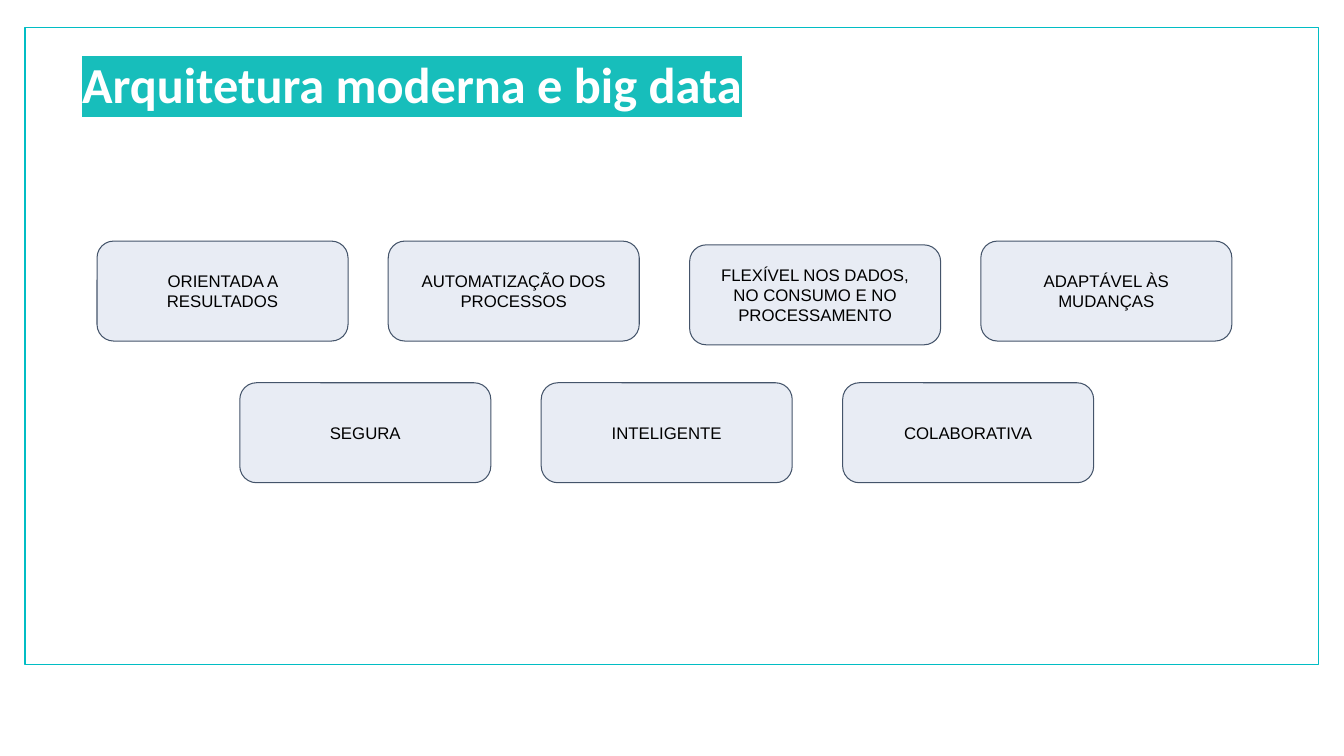
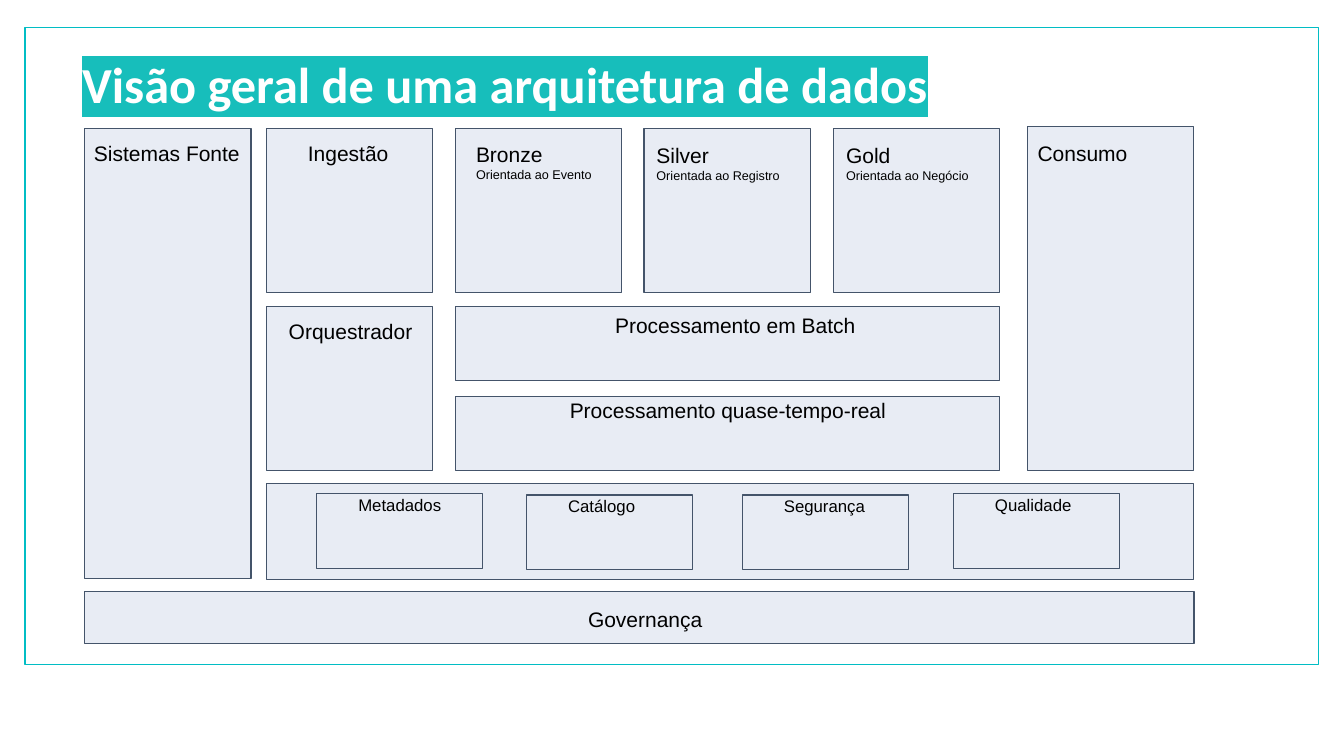
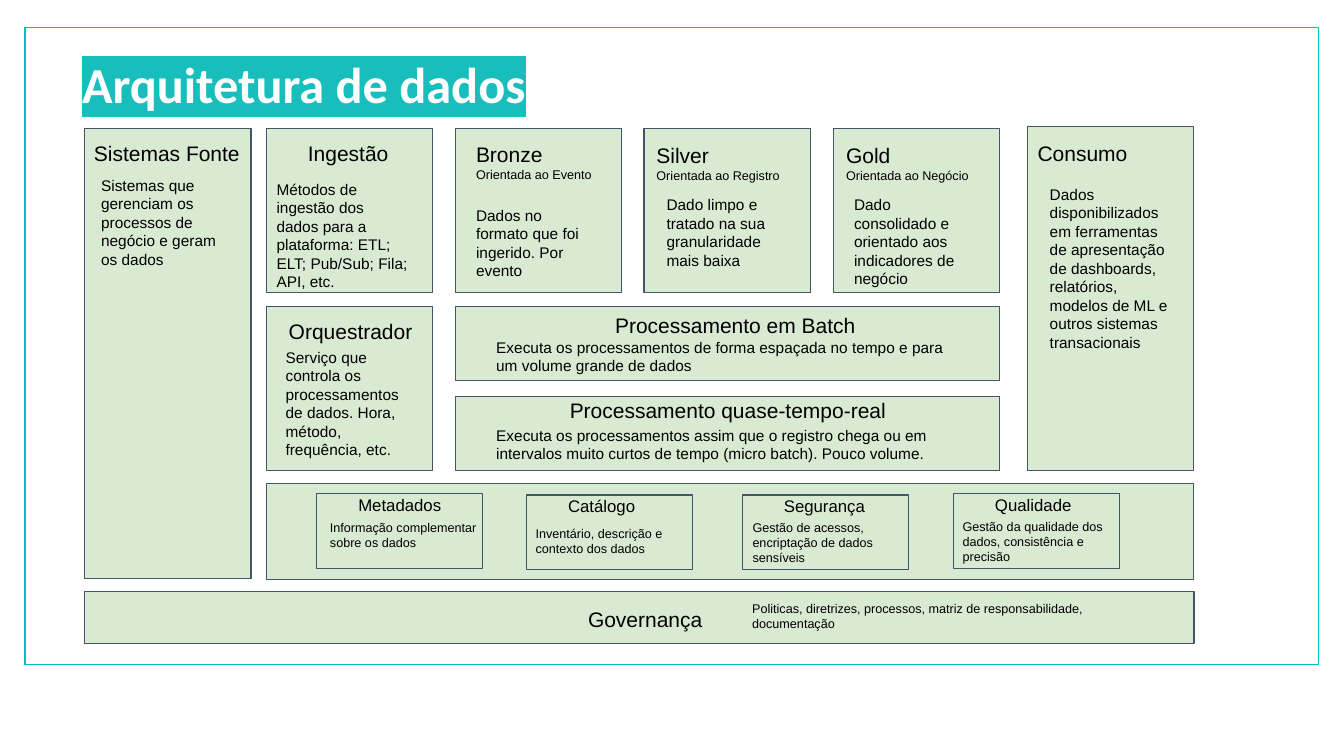
from dataclasses import dataclass

from lxml.etree import SubElement
from pptx import Presentation
from pptx.dml.color import RGBColor
from pptx.enum.shapes import MSO_SHAPE
from pptx.enum.text import MSO_ANCHOR, MSO_AUTO_SIZE, PP_ALIGN
from pptx.oxml.ns import qn
from pptx.util import Pt

TEAL = "17BEBB"
FRAME_LINE = "01BDC4"
OUTLINE = "44546A"
BLUE = "E8ECF4"
GREEN = "D9EAD3"
BLACK = "000000"
WHITE = "FFFFFF"

INSET = 9.6
COLUMNS = (60.4, 190.1, 325.4, 460, 595.4, 733.7)
TOP_ROW, MIDDLE_ROW, FAST_ROW, SUPPORT_ROW, BOTTOM_ROW = 91.6, 218.8, 283, 345.6, 422.6
TILE = 118.9, 117.3
BAND = 388.8, 53.3
SUPPORT = 118.9, 53.3


@dataclass
class Label:
    text: str
    x: float
    y: float
    width: float
    size: float = 11
    lines: int = 1


@dataclass
class Block:
    x: float
    y: float
    width: float
    height: float
    heading: Label = None
    detail: Label = None
    layer: str = ""


def color(value):
    return RGBColor.from_string(value)


def apply(target, formats):
    for name, value in formats.items():
        setattr(target, name, value)


def write(paragraph, text, size, font="Arial", ink=BLACK, bold=False):
    run = paragraph.add_run()
    run.text = text
    apply(run.font, {"name": font, "size": Pt(size), "bold": bold})
    run.font.color.rgb = color(ink)
    return run


def set_margins(frame, side, edge):
    apply(frame, {
        "word_wrap": True,
        "margin_left": Pt(side), "margin_right": Pt(side),
        "margin_top": Pt(edge), "margin_bottom": Pt(edge),
    })


def add_panel(slide, kind, x, y, width, height, fill=None, line=OUTLINE, weight=0.75):
    panel = slide.shapes.add_shape(kind, Pt(x), Pt(y), Pt(width), Pt(height))
    panel.shadow.inherit = False
    if fill:
        panel.fill.solid()
        panel.fill.fore_color.rgb = color(fill)
    else:
        panel.fill.background()
    panel.line.color.rgb = color(line)
    panel.line.width = Pt(weight)
    return panel


def add_text_frame(slide, x, y, width, height, edge=INSET):
    frame = slide.shapes.add_textbox(Pt(x), Pt(y), Pt(width), Pt(height)).text_frame
    set_margins(frame, INSET, edge)
    frame.auto_size = MSO_AUTO_SIZE.SHAPE_TO_FIT_TEXT
    return frame


def start_slide(deck, title):
    slide = deck.slides.add_slide(deck.slide_layouts[6])
    add_panel(slide, MSO_SHAPE.RECTANGLE, 18, 19.5, 923.8, 455, line=FRAME_LINE, weight=1)
    frame = add_text_frame(slide, 49, 33.4, 854, 53.3, edge=4.8)
    run = write(frame.paragraphs[0], title, 36, "Calibri", WHITE, True)
    ink = run.font._element.find(qn("a:solidFill"))
    highlight = ink.makeelement(qn("a:highlight"), {})
    SubElement(highlight, qn("a:srgbClr"), val=TEAL)
    ink.addnext(highlight)
    return slide


def add_card(slide, x, y, text):
    card = add_panel(slide, MSO_SHAPE.ROUNDED_RECTANGLE, x, y, 179.3, 71.4, BLUE)
    frame = card.text_frame
    set_margins(frame, INSET, INSET)
    frame.vertical_anchor = MSO_ANCHOR.MIDDLE
    frame.paragraphs[0].alignment = PP_ALIGN.CENTER
    write(frame.paragraphs[0], text, 12)


def add_qualities(slide, x, y):
    upper = (
        (0, 0, "ORIENTADA A RESULTADOS"),
        (208, 0, "AUTOMATIZAÇÃO DOS PROCESSOS"),
        (423.3, 2.7, "FLEXÍVEL NOS DADOS, NO CONSUMO E NO PROCESSAMENTO"),
        (631.3, 0, "ADAPTÁVEL ÀS MUDANÇAS"),
    )
    for dx, dy, text in upper:
        add_card(slide, x + dx, y + dy, text)
    for index, text in enumerate(("SEGURA", "INTELIGENTE", "COLABORATIVA")):
        add_card(slide, x + 102 + 215.3 * index, y + 101.2, text)


def add_label(slide, block, label, layer=""):
    lines_height = 1.2 * (label.size * label.lines + (9 if layer else 0))
    frame = add_text_frame(slide, block.x + label.x, block.y + label.y,
                           label.width, 2 * INSET + lines_height)
    write(frame.paragraphs[0], label.text, label.size)
    if layer:
        write(frame.add_paragraph(), layer, 9)


def add_block(slide, block, fill, detailed):
    add_panel(slide, MSO_SHAPE.RECTANGLE, block.x, block.y, block.width, block.height, fill)
    if block.heading:
        add_label(slide, block, block.heading, block.layer)
    if detailed and block.detail:
        add_label(slide, block, block.detail)


def heading(text, x, y, width):
    return Label(text, x, y, width, 15)


def support_block(x, y, name, text, dx, dy, lines):
    return Block(COLUMNS[1] + x, SUPPORT_ROW + y, *SUPPORT,
                 Label(name, 20.2, -6.5, 85.7, 12),
                 Label(text, dx, dy, 123.8, 9, lines))


BLOCKS = (
    Block(COLUMNS[0], TOP_ROW, TILE[0], 322,
          heading("Sistemas Fonte", -2.9, 0, 123.8),
          Label("Sistemas que gerenciam os processos de negócio e geram os dados",
                2.2, 24.5, 114.5, lines=5)),
    Block(COLUMNS[1], TOP_ROW, *TILE,
          heading("Ingestão", 20.2, 0, 78.5),
          Label("Métodos de ingestão dos dados para a plataforma: ETL; ELT; "
                "Pub/Sub; Fila; API, etc.", -2.2, 27.4, 114.5, lines=6)),
    Block(COLUMNS[2], TOP_ROW, *TILE,
          heading("Bronze", 5, 0, 108.7),
          Label("Dados no formato que foi ingerido. Por evento",
                5, 46, 106.6, lines=3), "Orientada ao Evento"),
    Block(COLUMNS[3], TOP_ROW, *TILE,
          heading("Silver", -0.7, 0.7, 118.8),
          Label("Dado limpo e tratado na sua granularidade mais baixa",
                6.5, 38.2, 106.6, lines=4), "Orientada ao Registro"),
    Block(COLUMNS[4], TOP_ROW, *TILE,
          heading("Gold", -0.7, 0.7, 118.8),
          Label("Dado consolidado e orientado aos indicadores de negócio",
                5, 38.2, 106.6, lines=5), "Orientada ao Negócio"),
    Block(COLUMNS[5], TOP_ROW - 1.2, TILE[0], 246,
          heading("Consumo", -2.2, 1, 123.8),
          Label("Dados disponibilizados em ferramentas de apresentação de dashboards, "
                "relatórios, modelos de ML e outros sistemas transacionais",
                6.5, 32, 106.6, lines=9)),
    Block(COLUMNS[1], MIDDLE_ROW, *TILE,
          heading("Orquestrador", 6.5, 0, 108.7),
          Label("Serviço que controla os processamentos de dados. Hora, método, "
                "frequência, etc.", 4.3, 20.2, 114.5, lines=6)),
    Block(COLUMNS[2], MIDDLE_ROW, *BAND,
          heading("Processamento em Batch", 104.4, -4.3, 221),
          Label("Executa os processamentos de forma espaçada no tempo e para um volume "
                "grande de dados", 19.4, 13, 356.4, lines=2)),
    Block(COLUMNS[2], FAST_ROW, *BAND,
          heading("Processamento quase-tempo-real", 72, -8, 247),
          Label("Executa os processamentos assim que o registro chega ou em intervalos "
                "muito curtos de tempo (micro batch). Pouco volume.",
                19.4, 11.5, 356.4, lines=2)),
    Block(COLUMNS[1], SUPPORT_ROW, 662.5, 68.4),
    support_block(36, 7, "Metadados", "Informação complementar sobre os dados", 0, 8.9, 2),
    support_block(185.8, 8, "Catálogo", "Inventário, descrição e contexto dos dados",
                  -2.9, 12.2, 2),
    support_block(340, 8, "Segurança", "Gestão de acessos, encriptação de dados sensíveis",
                  -2.2, 7.9, 3),
    support_block(490.8, 7.2, "Qualidade",
                  "Gestão da qualidade dos dados, consistência e precisão", -2.9, 7.9, 3),
    Block(COLUMNS[0], BOTTOM_ROW, 792.5, 37.2,
          heading("Governança", 350, 1.4, 108.7),
          Label("Politicas, diretrizes, processos, matriz de responsabilidade, "
                "documentação", 467.3, -2.9, 256.3, 9, 2)),
)


def add_architecture(slide, fill, detailed):
    for block in BLOCKS:
        add_block(slide, block, fill, detailed)


def main():
    deck = Presentation()
    apply(deck, {"slide_width": Pt(960), "slide_height": Pt(540)})
    add_qualities(start_slide(deck, "Arquitetura moderna e big data"), 69.3, 172.2)
    add_architecture(start_slide(deck, "Visão geral de uma arquitetura de dados"), BLUE, False)
    add_architecture(start_slide(deck, "Arquitetura de dados"), GREEN, True)
    deck.save("out.pptx")


if __name__ == "__main__":
    main()
